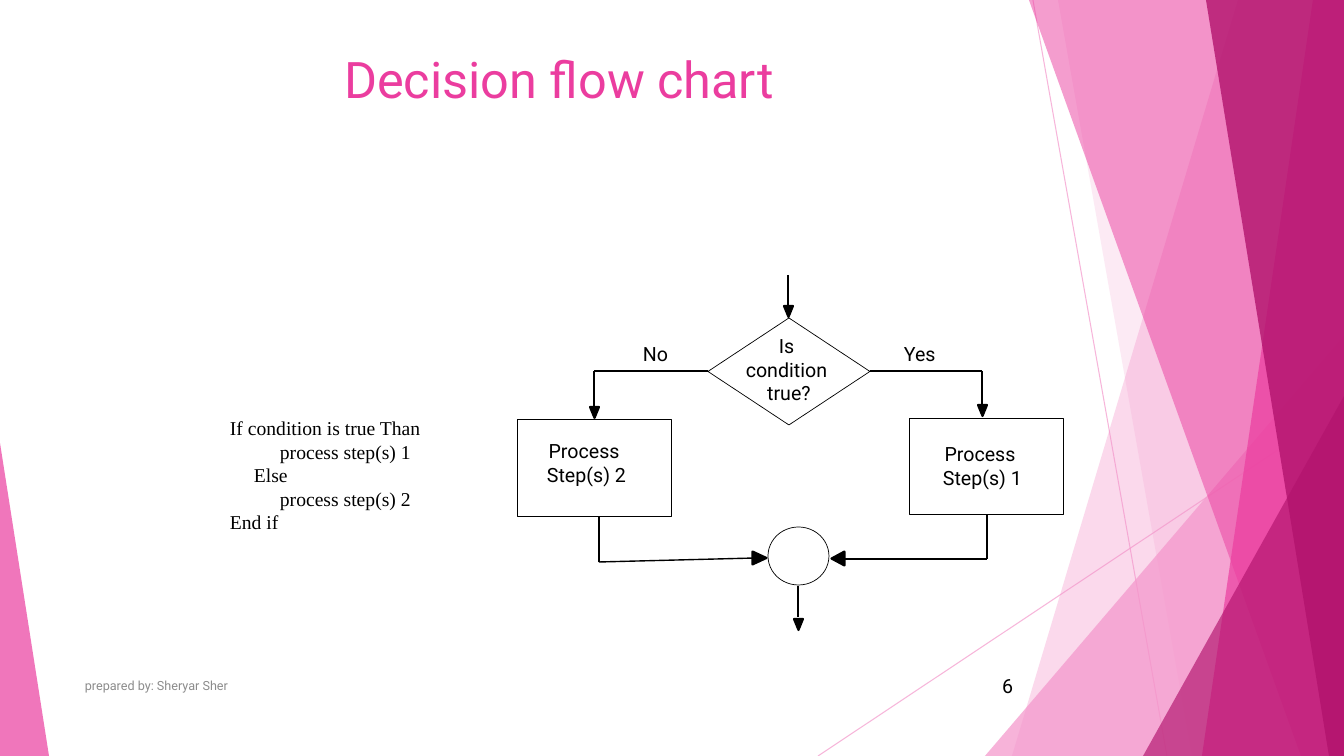
from lxml.etree import SubElement
from pptx import Presentation
from pptx.dml.color import RGBColor
from pptx.enum.shapes import MSO_CONNECTOR as Connector, MSO_SHAPE as Shape
from pptx.enum.text import MSO_ANCHOR as Anchor, MSO_AUTO_SIZE as AutoSize, PP_ALIGN as Align
from pptx.oxml.ns import qn
from pptx.util import Emu, Pt

WIDTH, HEIGHT = 1344, 756
SCALE = 914400 / 100.8
PALE, PINK, DEEP = "F496CB", "EB3D9F", "B2136D"
BLACK, WHITE, GREY = "000000", "FFFFFF", "8C8C8C"


def px(length):
    return Emu(round(length * SCALE))


def color(hex_code):
    return RGBColor.from_string(hex_code)


def set_opacity(fill, hex_code, percent):
    fill.solid()
    fill.fore_color.rgb = color(hex_code)
    if percent < 100:
        element = fill._xPr.find(qn("a:solidFill"))[0]
        SubElement(element, qn("a:alpha")).set("val", str(percent * 1000))


def write(frame, text, size=14, font="Roboto", ink=BLACK, align=Align.LEFT,
          anchor=Anchor.TOP, indents=()):
    frame.word_wrap = True
    frame.auto_size = AutoSize.NONE
    frame.vertical_anchor = anchor
    for index, line in enumerate(text.split("\n")):
        para = frame.paragraphs[0] if index == 0 else frame.add_paragraph()
        para.alignment = align
        if indents:
            properties = para._p.get_or_add_pPr()
            properties.set("marL", str(px(indents[index])))
            properties.set("indent", "0")
        span = para.add_run()
        span.text = line
        span.font.size = Pt(size)
        span.font.name = font
        span.font.color.rgb = color(ink)


class FlowSlide:
    def __init__(self, deck):
        self.page = deck.slides.add_slide(deck.slide_layouts[5])
        self.shapes = self.page.shapes

    def title(self, text, left, top, width, height):
        box = self.shapes.title
        box.left, box.top, box.width, box.height = map(px, (left, top, width, height))
        write(box.text_frame, text, size=36, ink=PINK, align=Align.CENTER)

    def text(self, text, left, top, width, height, **style):
        box = self.shapes.add_textbox(*map(px, (left, top, width, height)))
        write(box.text_frame, text, **style)

    def line(self, start, end, ink=BLACK, weight=1, opacity=100):
        line = self.shapes.add_connector(Connector.STRAIGHT, *map(px, (*start, *end)))
        set_opacity(line.line.fill, ink, opacity)
        line.line.width = Pt(weight)
        SubElement(line._element.spPr, qn("a:effectLst"))

    def route(self, *points):
        for start, end in zip(points, points[1:]):
            self.line(start, end)

    def shape(self, kind, left, top, width, height, fill=WHITE, opacity=100, weight=0.5):
        shape = self.shapes.add_shape(kind, *map(px, (left, top, width, height)))
        shape.shadow.inherit = False
        set_opacity(shape.fill, fill, opacity)
        if weight:
            shape.line.color.rgb = color(BLACK)
            shape.line.width = Pt(weight)
        else:
            shape.line.fill.background()
        return shape

    def arrow_tip(self, left, top, width=9, height=11, rotation=180):
        tip = self.shape(Shape.ISOSCELES_TRIANGLE, left, top, width, height,
                         fill=BLACK, weight=1.5)
        tip.rotation = rotation

    def corner(self, left, top, width, apex, fill, opacity):
        corner = self.shape(Shape.ISOSCELES_TRIANGLE, left, top, width, HEIGHT - top,
                            fill=fill, opacity=opacity, weight=0)
        corner.adjustments[0] = apex

    def band(self, top_x, bottom_x, fill, opacity):
        builder = self.shapes.build_freeform(top_x, 0, scale=SCALE)
        builder.add_line_segments([(WIDTH, 0), (WIDTH, HEIGHT), (bottom_x, HEIGHT)])
        band = builder.convert_to_shape()
        band.shadow.inherit = False
        set_opacity(band.fill, fill, opacity)
        band.line.fill.background()


def draw_background(slide):
    for start, end in (((1033, 0), (1167, HEIGHT)), ((WIDTH, 406), (818, HEIGHT))):
        slide.line(start, end, ink=PALE, weight=0.75, opacity=70)
    slide.band(1238, 1012, PALE, 36)
    slide.band(1058, 1192, PALE, 20)
    slide.corner(985, 336, 359, 1, PALE, 72)
    slide.band(1029, 1301, PINK, 50)
    slide.band(1313, 1202, PINK, 70)
    slide.band(1206, 1329, DEEP, 80)
    slide.corner(1143, 396, 201, 1, DEEP, 66)
    slide.corner(0, 443, 49, 0, PINK, 70)


def draw_flow(slide):
    slide.route((788, 275), (788, 306))
    slide.route((870, 371), (982, 371), (982, 406))
    slide.route((708, 371), (594, 371), (594, 407))
    slide.route((987, 514), (987, 559), (844, 559))
    slide.route((599, 516), (599, 562), (756, 558))
    slide.route((798, 586), (798, 617))
    for left, top in ((784, 306), (978, 405), (590, 407), (794, 619)):
        slide.arrow_tip(left, top)
    slide.arrow_tip(831, 552, 14, 13, rotation=270)
    slide.arrow_tip(753, 551, 13, 14, rotation=90)

    slide.shape(Shape.FLOWCHART_DECISION, 708, 318, 162, 107)
    slide.text("Is \ncondition \ntrue?", 719, 329, 140, 82, align=Align.CENTER)
    slide.shape(Shape.RECTANGLE, 909, 418, 154, 96)
    slide.text("Process \nStep(s) 1", 913, 437, 139, 57, align=Align.CENTER)
    slide.shape(Shape.RECTANGLE, 517, 419, 154, 97)
    slide.text("Process \nStep(s) 2", 517, 434, 139, 57, align=Align.CENTER)
    slide.shape(Shape.OVAL, 768, 527, 61, 58)
    for answer, left in (("No", 633), ("Yes", 894)):
        slide.text(answer, left, 337, 68, 34)


def main():
    deck = Presentation()
    deck.slide_width, deck.slide_height = px(WIDTH), px(HEIGHT)
    slide = FlowSlide(deck)
    draw_background(slide)
    slide.title("Decision flow chart", 85, 43, 948, 72)
    slide.text("prepared by: Sheryar Sher", 75, 666, 694, 40,
               size=9, ink=GREY, anchor=Anchor.MIDDLE)
    slide.text("6", 947, 666, 76, 40, align=Align.RIGHT, anchor=Anchor.MIDDLE)
    draw_flow(slide)
    slide.text("If condition is true Than\nprocess step(s) 1\nElse\nprocess step(s) 2\nEnd if",
               220, 411, 361, 129, font="Times New Roman", indents=(0, 50, 24, 50, 0))
    deck.save("out.pptx")


if __name__ == "__main__":
    main()
